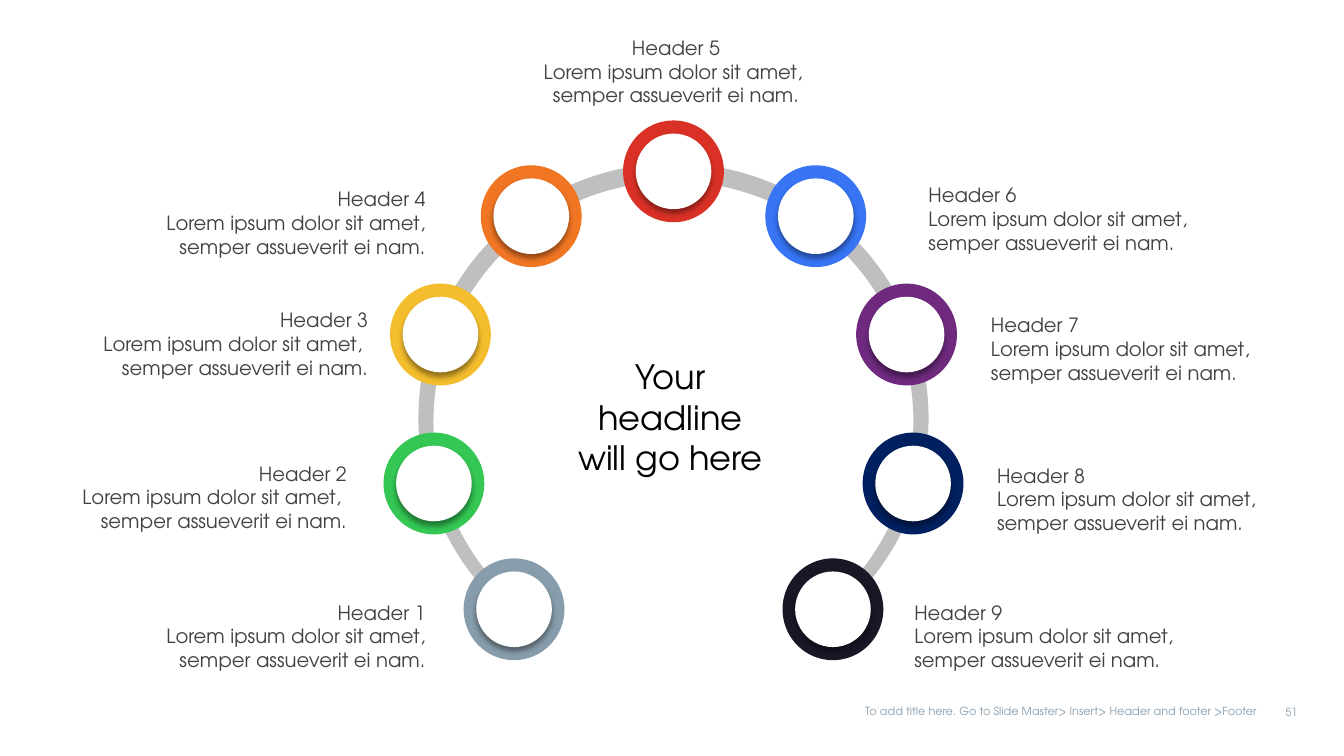
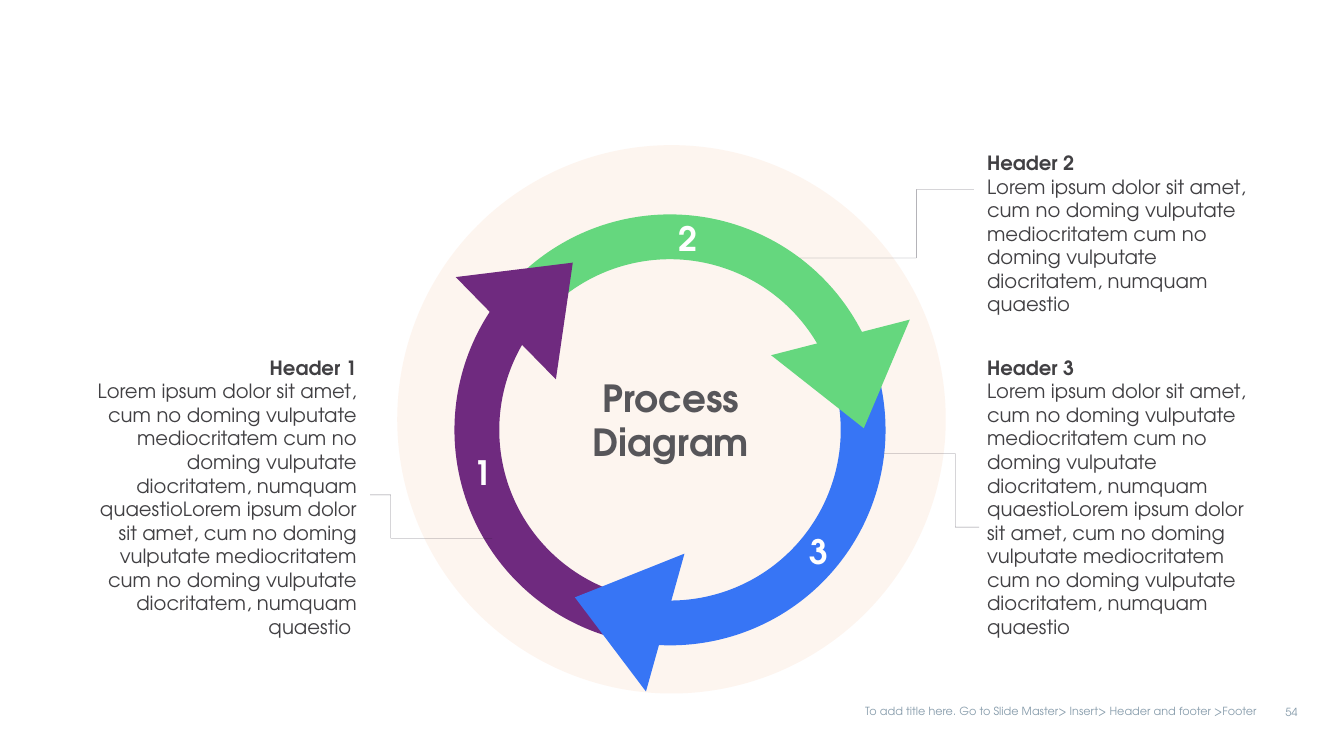
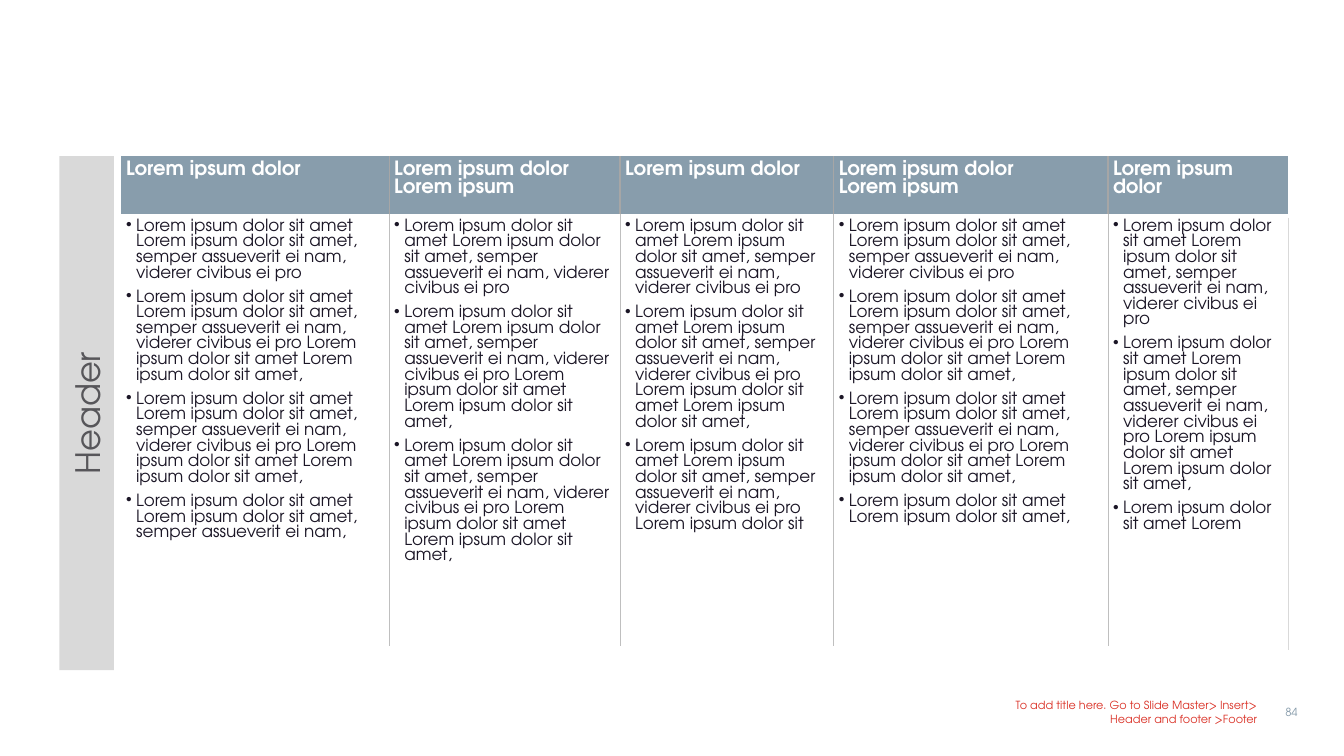
from itertools import accumulate
from math import cos, radians, sin

from lxml.etree import SubElement
from pptx import Presentation
from pptx.dml.color import RGBColor
from pptx.enum.shapes import MSO_CONNECTOR, MSO_SHAPE
from pptx.enum.text import MSO_ANCHOR, MSO_AUTO_SIZE, PP_ALIGN
from pptx.oxml.ns import qn
from pptx.util import Inches, Pt

FONT = "TeX Gyre Adventor"
COLORS = {
    "black": "000000", "white": "FFFFFF", "ink": "1B1626", "text": "414043",
    "title": "57565A", "slate": "889DAC", "green": "34C754", "yellow": "F4BD2D",
    "orange": "F07624", "red": "DA3126", "blue": "3775F5", "purple": "6F2A7F",
    "navy": "002060", "mint": "65D77E", "peach": "F6AD7C", "border": "A6A6A6",
    "grey": "BFBFBF", "pale": "D9D9D9",
}
LEFT, CENTER, RIGHT = PP_ALIGN.LEFT, PP_ALIGN.CENTER, PP_ALIGN.RIGHT
DEFAULT_INSETS = (0.1, 0.05, 0.1, 0.05)
NO_INSETS = (0, 0, 0, 0)
TITLE_ONLY, BLANK = 5, 6
NO_TABLE_STYLE = "{2D5ABB26-0587-4C30-8999-92F81FD0307C}"
FOOTER = "To add title here. Go to Slide Master> Insert> Header and footer >Footer"

PHRASE = "Lorem ipsum dolor sit amet"
DOUBLE = f"{PHRASE} {PHRASE},"
SHORT = f"{DOUBLE} semper assueverit ei nam,"
MEDIUM = f"{SHORT} viderer civibus ei pro"
LONG = f"{MEDIUM} {DOUBLE}"
WRAPPED_TEXT = f"{PHRASE}, semper assueverit ei nam."
BROKEN_TEXT = f"{PHRASE}, \vsemper assueverit ei nam."
STEP_TEXT = (f"{PHRASE}, cum no doming vulputate mediocritatem cum no doming "
             "vulputate diocritatem, numquam quaestio")


def rgb(name):
    return RGBColor.from_string(COLORS[name])


def set_alpha(fill_parent, percent):
    color = next(fill_parent.iter(qn("a:srgbClr")))
    SubElement(color, qn("a:alpha"), val=str(percent * 1000))


def write_text(frame, lines, size, color, bold=False, bold_first=False, align=LEFT,
               spacing=None, after=None, insets=DEFAULT_INSETS, anchor=MSO_ANCHOR.TOP):
    frame.word_wrap = True
    frame.auto_size = MSO_AUTO_SIZE.NONE
    frame.vertical_anchor = anchor
    for side, inset in zip(("left", "top", "right", "bottom"), insets):
        setattr(frame, f"margin_{side}", Inches(inset))
    frame.text = "\n".join(lines)
    for index, para in enumerate(frame.paragraphs):
        para.alignment = align
        if spacing:
            para.line_spacing = spacing
        if after is not None:
            para.space_after = Pt(after)
        style_font(para.font, size, color, bold or (bold_first and index == 0))


def style_font(font, size, color, bold=False):
    values = {"name": FONT, "size": Pt(size), "bold": bold}
    for attribute, value in values.items():
        setattr(font, attribute, value)
    font.color.rgb = rgb(color)


def add_text(page, at, lines, size, color, **text_format):
    box = page.shapes.add_textbox(*map(Inches, at))
    write_text(box.text_frame, lines, size, color, **text_format)


def add_title(page, at, lines, size, color, **text_format):
    """Place the title placeholder in front of the shapes drawn so far."""
    title = page.shapes.title
    title.left, title.top, title.width, title.height = map(Inches, at)
    write_text(title.text_frame, lines, size, color, align=CENTER,
               insets=NO_INSETS, **text_format)
    title._element.getparent().append(title._element)


def add_footer(page, number, left=8.15, color="slate", anchor=MSO_ANCHOR.TOP):
    add_text(page, (12.41, 6.95, 0.56, 0.24), [number], 8, "slate", align=RIGHT)
    add_text(page, (left, 6.94, 12.57 - left, 0.25), [FOOTER], 8, color,
             align=RIGHT, anchor=anchor)


def paint(shape, color):
    shape.shadow.inherit = False
    shape.fill.solid()
    shape.fill.fore_color.rgb = rgb(color)
    shape.line.fill.background()


def add_centered(page, kind, center, size, color):
    """Add a filled preset shape around a centre point."""
    (x, y), (width, height) = center, size
    shape = page.shapes.add_shape(kind, Inches(x - width / 2), Inches(y - height / 2),
                                  Inches(width), Inches(height))
    paint(shape, color)
    return shape


def on_circle(center, radius, angle):
    """Point at an angle in degrees, clockwise from the right."""
    return (center[0] + radius * cos(radians(angle)),
            center[1] + radius * sin(radians(angle)))


def add_line(page, start, end, color, width, kind=MSO_CONNECTOR.STRAIGHT):
    line = page.shapes.add_connector(kind, *map(Inches, (*start, *end)))
    line.line.color.rgb = rgb(color)
    line.line.width = Pt(width)
    SubElement(line._element.spPr, qn("a:effectLst"))
    return line


def add_callout(page, start, end, bend):
    """Add a thin elbow line that turns at a share of its width."""
    line = add_line(page, start, end, "ink", 0.25, MSO_CONNECTOR.ELBOW)
    properties = line._element.spPr
    set_alpha(properties, 50)
    guides = properties.find(qn("a:prstGeom")).get_or_add_avLst()
    SubElement(guides, qn("a:gd"), name="adj1", fmla=f"val {round(bend * 100000)}")


def add_ring(page):
    """Draw the open band, slightly thicker at the top, with round edges."""
    angles = (124.5, 180, 270, 360, 410)
    stops = [((6.68, 4.15), 2.53, angle) for angle in angles]
    stops += [((6.68, 4.18), 2.38, angle) for angle in reversed(angles)]
    points = [tuple(map(Inches, on_circle(*stop))) for stop in stops]
    builder = page.shapes.build_freeform(*points[0])
    builder.add_line_segments(points[1:], close=True)
    ring = builder.convert_to_shape()
    paint(ring, "grey")

    edges = list(ring._element.iter(qn("a:lnTo")))
    for edge, (_, radius, start), (_, _, end) in zip(edges, stops, stops[1:]):
        if start != end:
            arc = SubElement(edge.getparent(), qn("a:arcTo"),
                             wR=str(Inches(radius)), hR=str(Inches(radius)),
                             stAng=str(round(start % 360 * 60000)),
                             swAng=str(round((end - start) * 60000)))
            edge.getparent().replace(edge, arc)


def add_node(page, center, color):
    add_centered(page, MSO_SHAPE.OVAL, center, (1, 1.01), color)
    disc = add_centered(page, MSO_SHAPE.OVAL, center, (0.75, 0.75), "white")
    effects = disc._element.spPr.find(qn("a:effectLst"))
    shadow = SubElement(effects, qn("a:outerShdw"), blurRad=str(Pt(4)),
                        dist=str(Pt(3)), dir="5400000", algn="t", rotWithShape="0")
    SubElement(shadow, qn("a:srgbClr"), val=COLORS["black"])
    set_alpha(effects, 40)


def build_ring_slide(deck):
    page = deck.slides.add_slide(deck.slide_layouts[TITLE_ONLY])
    add_ring(page)
    nodes = [
        ("slate", 0.83, 5.91, RIGHT, WRAPPED_TEXT),
        ("green", 0.05, 4.53, RIGHT, BROKEN_TEXT),
        ("yellow", 0.26, 3.01, RIGHT, BROKEN_TEXT),
        ("orange", 0.83, 1.81, RIGHT, WRAPPED_TEXT),
        ("red", 4.96, 0.31, CENTER, BROKEN_TEXT),
        ("blue", 9.11, 1.77, LEFT, BROKEN_TEXT),
        ("purple", 9.73, 3.06, LEFT, BROKEN_TEXT),
        ("navy", 9.79, 4.55, LEFT, BROKEN_TEXT),
        ("ink", 8.97, 5.91, LEFT, BROKEN_TEXT),
    ]
    for index, (color, left, top, align, body) in enumerate(nodes):
        add_node(page, on_circle((6.68, 4.16), 2.46, 130 + 35 * index), color)
        add_text(page, (left, top, 3.49, 0.81), [f"Header {index + 1}", body],
                 14, "text", align=align)
    add_title(page, (5.67, 3.53, 1.96, 1.21), ["Your headline will go here"],
              24, "black", anchor=MSO_ANCHOR.MIDDLE)
    add_footer(page, "51")


def add_cycle(page):
    """Draw three arcs, each followed by an arrowhead a third of a turn on."""
    center = (6.65, 4.26)
    turns = [("purple", 240), ("blue", 120), ("mint", 0)]
    for color, turn in turns:
        arc = page.shapes.add_shape(MSO_SHAPE.ARC, Inches(4.73), Inches(2.35),
                                    Inches(3.83), Inches(3.83))
        arc.shadow.inherit = False
        arc.fill.background()
        arc.line.color.rgb = rgb(color)
        arc.line.width = Pt(32)
        arc.rotation = turn
        for index, degrees in enumerate((217.5, 339.5)):
            arc.adjustments[index] = degrees * 0.6
    for color, turn in turns:
        angle = 345.6 + turn
        head = add_centered(page, MSO_SHAPE.ISOSCELES_TRIANGLE,
                            on_circle(center, 1.86, angle), (1.42, 0.93), color)
        head.rotation = (angle - 180) % 360


def build_process_slide(deck):
    page = deck.slides.add_slide(deck.slide_layouts[TITLE_ONLY])
    backdrop = add_centered(page, MSO_SHAPE.OVAL, (6.66, 4.16), (5.44, 5.44), "peach")
    set_alpha(backdrop._element.spPr, 12)
    add_cycle(page)
    add_title(page, (5.44, 3.77, 2.43, 0.85), ["Process", "Diagram"], 26.7, "title",
              bold=True, spacing=0.9, after=2.7)
    steps = [
        ((0.68, 3.48, 2.99, 3.18), f"{STEP_TEXT * 2} ", RIGHT, (4.6, 4.43)),
        ((9.66, 1.45, 2.99, 1.77), STEP_TEXT, LEFT, (6.63, 2.11)),
        ((9.66, 3.48, 2.99, 3.18), STEP_TEXT * 2, LEFT, (7.93, 5.22)),
    ]
    for number, (at, body, align, label) in enumerate(steps, 1):
        add_text(page, at, [f"Header {number}", body], 14, "text", bold_first=True,
                 align=align, insets=(0.13, 0.05, 0.13, 0.07))
        add_text(page, (*label, 0.34, 0.5), [str(number)], 24, "white", bold=True)
    add_callout(page, (3.67, 4.91), (4.88, 5.34), 0.17)
    add_callout(page, (7.93, 2.56), (9.66, 1.88), 0.67)
    add_callout(page, (8.77, 4.5), (9.71, 5.23), 0.75)
    add_footer(page, "54")


def set_border(cell, tag):
    properties = cell._tc.get_or_add_tcPr()
    border = SubElement(properties, qn(f"a:{tag}"), w=str(Pt(1)))
    fill = SubElement(border, qn("a:solidFill"))
    SubElement(fill, qn("a:srgbClr"), val=COLORS["border"])


def write_cell(cell, lines, size, color, bold=False, bullets=False):
    for side in ("left", "top", "right", "bottom"):
        setattr(cell, f"margin_{side}", Inches(0.05))
    cell.text = "\n".join(lines)
    for index, para in enumerate(cell.text_frame.paragraphs):
        if bullets:
            properties = para._p.get_or_add_pPr()
            properties.set("marL", str(Inches(0.1)))
            properties.set("indent", str(-Inches(0.1)))
            SubElement(properties, qn("a:buChar"), char="•")
            para.space_before = Pt(3 if index else 0)
            para.space_after = Pt(3)
        style_font(para.font, size, color, bold)


def add_columns(page, left, top, widths, columns):
    """Add a table with one heading row and one row of bulleted text."""
    heights = (0.57, 4.47)
    frame = page.shapes.add_table(2, len(widths), Inches(left), Inches(top),
                                  Inches(sum(widths)), Inches(sum(heights)))
    table = frame.table
    table.first_row = table.horz_banding = False
    table._tbl.tblPr.find(qn("a:tableStyleId")).text = NO_TABLE_STYLE
    for row, height in zip(table.rows, heights):
        row.height = Inches(height)
    for index, (width, (heading, body)) in enumerate(zip(widths, columns)):
        table.columns[index].width = Inches(width)
        head, content = table.cell(0, index), table.cell(1, index)
        write_cell(head, heading, 14, "white", bold=True)
        write_cell(content, body, 12, "ink", bullets=True)
        if index > 0:
            set_border(head, "lnL")
        if index < len(widths) - 1:
            set_border(head, "lnR")
        head.fill.solid()
        head.fill.fore_color.rgb = rgb("slate")
        content.fill.background()


def build_table_slide(deck):
    page = deck.slides.add_slide(deck.slide_layouts[BLANK])
    left, top = 1.2, 1.55
    widths = (2.66, 2.29, 2.12, 2.72, 1.79)
    heading = "Lorem ipsum dolor"
    columns = [
        ([heading], [MEDIUM, LONG, LONG, SHORT]),
        ([f"{heading} Lorem ipsum"], [MEDIUM, LONG, LONG]),
        ([heading], [MEDIUM, LONG, f"{MEDIUM} Lorem ipsum dolor sit"]),
        ([heading, "Lorem ipsum"], [MEDIUM, LONG, LONG, DOUBLE]),
        ([heading], [MEDIUM, LONG, f"{PHRASE} Lorem"]),
    ]
    add_columns(page, left, top, widths, columns)

    band = add_centered(page, MSO_SHAPE.RECTANGLE, (0.86, 4.1), (0.54, 5.1), "pale")
    write_text(band.text_frame, ["Header"], 24, "title", align=CENTER,
               anchor=MSO_ANCHOR.MIDDLE)
    band.text_frame._txBody.bodyPr.set("vert", "vert270")

    *dividers, edge = [left + offset for offset in accumulate(widths)]
    for x in dividers:
        add_line(page, (x, 2.12), (x, 6.41), "grey", 0.5)
    add_line(page, (edge, 2.16), (edge, 6.45), "pale", 0.5)
    add_footer(page, "84", left=9.83, color="red", anchor=MSO_ANCHOR.MIDDLE)


def main():
    deck = Presentation()
    deck.slide_width, deck.slide_height = Inches(13.33), Inches(7.5)
    build_ring_slide(deck)
    build_process_slide(deck)
    build_table_slide(deck)
    deck.save("out.pptx")


if __name__ == "__main__":
    main()
